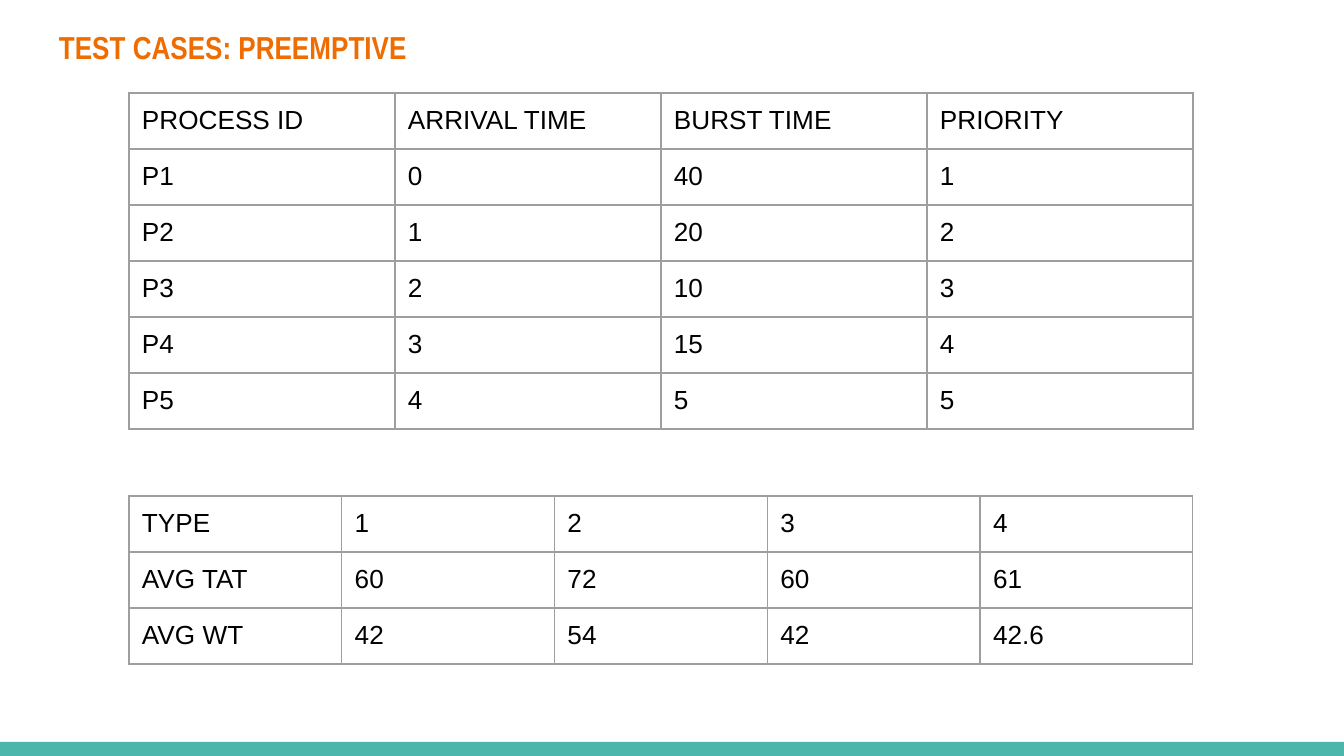
from lxml import etree
from pptx import Presentation
from pptx.dml.color import RGBColor
from pptx.enum.shapes import MSO_SHAPE
from pptx.enum.text import MSO_ANCHOR, MSO_AUTO_SIZE, PP_ALIGN
from pptx.oxml.ns import qn
from pptx.util import Pt

RECTANGLE = MSO_SHAPE.RECTANGLE
TOP = MSO_ANCHOR.TOP
LEFT = PP_ALIGN.LEFT
NO_AUTOFIT = MSO_AUTO_SIZE.NONE

COLORS = {"title": "EF6C00", "bar": "4DB6AC", "border": "9E9E9E", "text": "000000"}
PX = 914400 / 134.4
TITLE_ONLY = 5
INSET = 13
TABLE_LEFT, TABLE_WIDTH, ROW_HEIGHT = 129, 1064, 56

PROCESSES = [
    ["PROCESS ID", "ARRIVAL TIME", "BURST TIME", "PRIORITY"],
    ["P1", "0", "40", "1"],
    ["P2", "1", "20", "2"],
    ["P3", "2", "10", "3"],
    ["P4", "3", "15", "4"],
    ["P5", "4", "5", "5"],
]
AVERAGES = [
    ["TYPE", "1", "2", "3", "4"],
    ["AVG TAT", "60", "72", "60", "61"],
    ["AVG WT", "42", "54", "42", "42.6"],
]


def px(length):
    """Turn pixels into EMU."""
    return round(length * PX)


def add_cell_borders(cell):
    properties = cell._tc.get_or_add_tcPr()
    for position, side in enumerate(("lnL", "lnR", "lnT", "lnB")):
        line = etree.Element(qn(f"a:{side}"), w=str(Pt(0.75)))
        fill = etree.SubElement(line, qn("a:solidFill"))
        etree.SubElement(fill, qn("a:srgbClr"), val=COLORS["border"])
        properties.insert(position, line)


presentation = Presentation()
presentation.slide_width = px(1344)
presentation.slide_height = px(756)
slide = presentation.slides.add_slide(presentation.slide_layouts[TITLE_ONLY])

bar = slide.shapes.add_shape(RECTANGLE, 0, px(742), px(1344), px(14))
bar.shadow.inherit = False
bar.fill.solid()
bar.fill.fore_color.rgb = RGBColor.from_string(COLORS["bar"])
bar.line.fill.background()

title = slide.shapes.title
title.left, title.top, title.width, title.height = px(46), px(15), px(1252), px(59)
frame = title.text_frame
frame.text = "TEST CASES: PREEMPTIVE"
frame.word_wrap = True
frame.auto_size = NO_AUTOFIT
frame.vertical_anchor = TOP
frame.margin_left = frame.margin_right = px(INSET)
frame.margin_top = frame.margin_bottom = px(INSET)
paragraph = frame.paragraphs[0]
paragraph.alignment = LEFT
paragraph.font.name = "Arial Narrow"
paragraph.font.size = Pt(17)
paragraph.font.bold = True
paragraph.font.color.rgb = RGBColor.from_string(COLORS["title"])

for top, rows in ((93, PROCESSES), (496, AVERAGES)):
    table = slide.shapes.add_table(
        len(rows), len(rows[0]), px(TABLE_LEFT), px(top),
        px(TABLE_WIDTH), px(ROW_HEIGHT * len(rows)),
    ).table
    table.first_row = False
    table.horz_banding = False
    for row_index, row in enumerate(rows):
        for column_index, text in enumerate(row):
            cell = table.cell(row_index, column_index)
            cell.text = text
            cell.fill.background()
            cell.margin_left = cell.margin_right = px(INSET)
            cell.margin_top = cell.margin_bottom = px(INSET)
            add_cell_borders(cell)
            font = cell.text_frame.paragraphs[0].font
            font.name = "Arial"
            font.size = Pt(14)
            font.color.rgb = RGBColor.from_string(COLORS["text"])

presentation.save("out.pptx")
